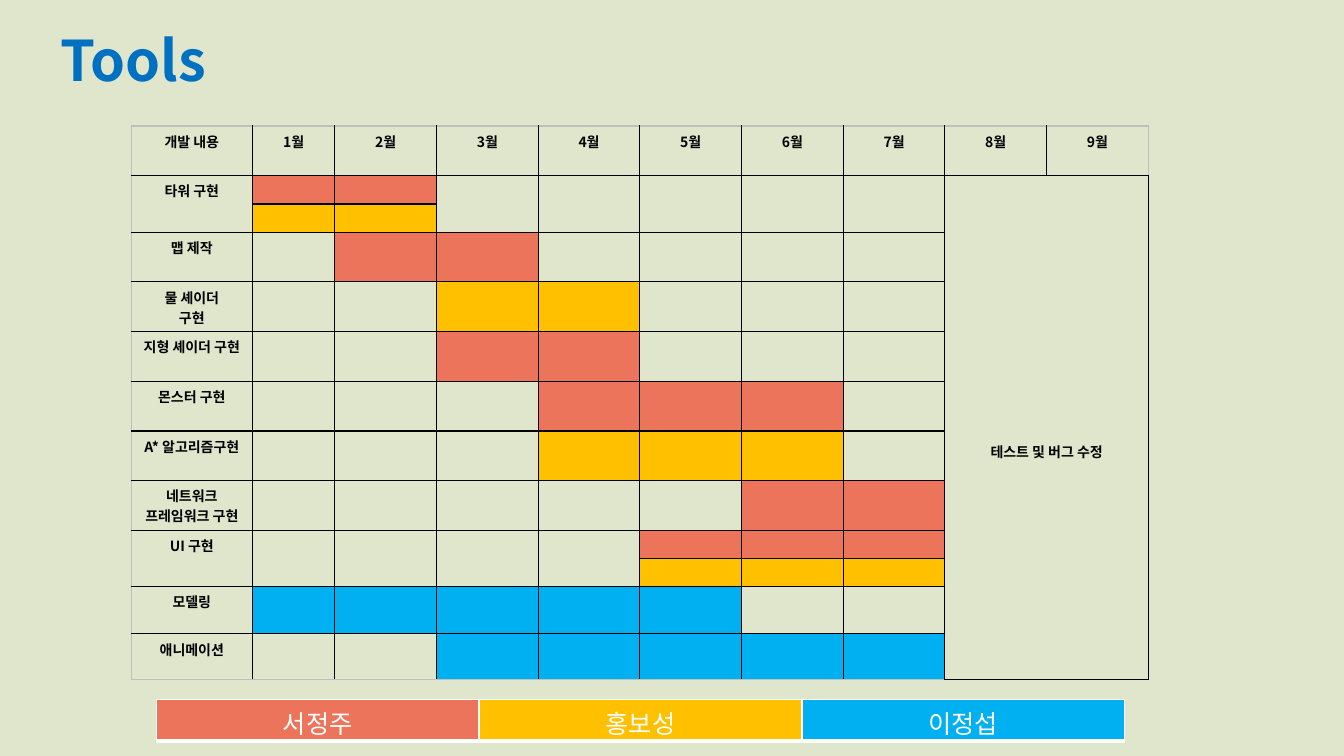
from dataclasses import dataclass

from lxml import etree
from pptx import Presentation
from pptx import util as u
from pptx.dml.color import RGBColor
from pptx.enum import text
from pptx.oxml.ns import qn

FONT = "Noto Sans CJK KR"
COLORS = {
    "background": "E0E6CC",
    "title": "0070C0",
    "ink": "000000",
    "frame": "BFBFBF",
    "white": "FFFFFF",
    "서정주": "EC745B",
    "홍보성": "FFC000",
    "이정섭": "00B0F0",
}
TITLE_FORMAT = {"size": u.Pt(40), "bold": True, "name": FONT}
CELL_FORMAT = {"size": u.Pt(10), "bold": True, "name": FONT}
LEGEND_FORMAT = {"size": u.Pt(18), "bold": False, "name": FONT}
MARGINS = {"margin_left": u.Pt(7.5), "margin_right": u.Pt(7.5),
           "margin_top": u.Pt(3.6), "margin_bottom": 0}

MONTHS = 9
LAST_WORK_MONTH = 7
COLUMN_WIDTHS = [86.4, 59] + [72.64] * 8
HEADER_HEIGHT = 35.5


@dataclass
class Task:
    """A schedule entry; each owner takes one table row."""
    name: str
    owners: tuple[str, ...]
    first_month: int
    last_month: int
    row_height: float = 35.5


TASKS = [
    Task("타워 구현", ("서정주", "홍보성"), 1, 2, 20.2),
    Task("맵 제작", ("서정주",), 2, 3),
    Task("물 셰이더\n구현", ("홍보성",), 3, 4),
    Task("지형 셰이더 구현", ("서정주",), 3, 4),
    Task("몬스터 구현", ("서정주",), 4, 6),
    Task("A* 알고리즘구현", ("홍보성",), 4, 6),
    Task("네트워크 프레임워크 구현", ("서정주",), 6, 7),
    Task("UI 구현", ("서정주", "홍보성"), 5, 7, 20.2),
    Task("모델링", ("이정섭",), 1, 5, 33.6),
    Task("애니메이션", ("이정섭",), 3, 7, 32.6),
]


def set_attributes(target, values: dict) -> None:
    for name, value in values.items():
        setattr(target, name, value)


def write(frame, content: str, font_format: dict, color: str, align) -> None:
    frame.text = content
    for paragraph in frame.paragraphs:
        paragraph.alignment = align
        for run in paragraph.runs:
            set_attributes(run.font, font_format)
            run.font.color.rgb = RGBColor.from_string(COLORS[color])
            east_asian = etree.SubElement(run.font._element, qn("a:ea"))
            east_asian.set("typeface", FONT)


def write_cell(cell, content: str, font_format: dict, color: str) -> None:
    write(cell.text_frame, content, font_format, color, text.PP_ALIGN.CENTER)


def fill_cell(cell, color: str) -> None:
    cell.fill.solid()
    cell.fill.fore_color.rgb = RGBColor.from_string(COLORS[color])


def set_borders(cell, borders: dict[str, tuple[str, float]]) -> None:
    """Set the sides L, R, T and B, given in that order."""
    properties = cell._tc.get_or_add_tcPr()
    for index, (side, (color, width)) in enumerate(borders.items()):
        line = etree.Element(qn(f"a:ln{side}"), w=str(int(u.Pt(width))))
        fill = etree.SubElement(line, qn("a:solidFill"))
        etree.SubElement(fill, qn("a:srgbClr"), val=COLORS[color])
        properties.insert(index, line)


def add_plain_table(slide, left: float, top: float, widths: list[float],
                    heights: list[float]):
    """Add a table with unfilled cells and no banding."""
    shape = slide.shapes.add_table(
        len(heights), len(widths), u.Pt(left), u.Pt(top),
        u.Pt(sum(widths)), u.Pt(sum(heights)))
    table = shape.table
    set_attributes(table, {"first_row": False, "horz_banding": False})
    for column, width in zip(table.columns, widths):
        column.width = u.Pt(width)
    for row, height in zip(table.rows, heights):
        row.height = u.Pt(height)
    for cell in table.iter_cells():
        set_attributes(cell, MARGINS)
        cell.fill.background()
        paragraph = cell.text_frame.paragraphs[0]
        etree.SubElement(paragraph._p, qn("a:endParaRPr"), sz="1000")
    return table


def add_schedule(slide) -> None:
    heights = [HEADER_HEIGHT] + [task.row_height for task in TASKS for _ in task.owners]
    table = add_plain_table(slide, 93.8, 90, COLUMN_WIDTHS, heights)
    last_row = len(heights) - 1
    for row in range(last_row + 1):
        for column in range(MONTHS + 1):
            outer = {"L": column == 0, "R": column == MONTHS,
                     "T": row == 0, "B": row == last_row}
            set_borders(table.cell(row, column), {
                side: ("frame" if is_outer else "ink", 1)
                for side, is_outer in outer.items()})

    headings = ["개발 내용"] + [f"{month}월" for month in range(1, MONTHS + 1)]
    for column, heading in enumerate(headings):
        write_cell(table.cell(0, column), heading, CELL_FORMAT, "ink")

    row = 1
    for task in TASKS:
        end_row = row + len(task.owners) - 1
        write_cell(table.cell(row, 0), task.name, CELL_FORMAT, "ink")
        for column in range(LAST_WORK_MONTH + 1):
            if task.first_month <= column <= task.last_month:
                for offset, owner in enumerate(task.owners):
                    fill_cell(table.cell(row + offset, column), owner)
            elif end_row > row:
                table.cell(row, column).merge(table.cell(end_row, column))
        row = end_row + 1

    testing = table.cell(1, LAST_WORK_MONTH + 1)
    testing.merge(table.cell(last_row, MONTHS))
    write_cell(testing, "테스트 및 버그 수정", CELL_FORMAT, "ink")
    set_attributes(testing, {"vertical_anchor": text.MSO_ANCHOR.MIDDLE,
                             "margin_top": u.Pt(34)})


def add_legend(slide) -> None:
    owners = ["서정주", "홍보성", "이정섭"]
    table = add_plain_table(slide, 111.6, 499.7, [230.6] * len(owners), [29.5])
    for cell, owner in zip(table.iter_cells(), owners):
        set_borders(cell, {"L": ("white", 1), "R": ("white", 1),
                           "T": ("white", 1), "B": ("white", 3)})
        fill_cell(cell, owner)
        write_cell(cell, owner, LEGEND_FORMAT, "white")


def main() -> None:
    presentation = Presentation()
    set_attributes(presentation, {"slide_width": u.Pt(960), "slide_height": u.Pt(540)})
    slide = presentation.slides.add_slide(presentation.slide_layouts[6])
    slide.background.fill.solid()
    slide.background.fill.fore_color.rgb = RGBColor.from_string(COLORS["background"])

    title = slide.shapes.add_textbox(u.Pt(36), u.Pt(14.5), u.Pt(355), u.Pt(65))
    title.text_frame.word_wrap = True
    write(title.text_frame, "Tools", TITLE_FORMAT, "title", text.PP_ALIGN.LEFT)
    add_schedule(slide)
    add_legend(slide)
    presentation.save("out.pptx")


if __name__ == "__main__":
    main()
